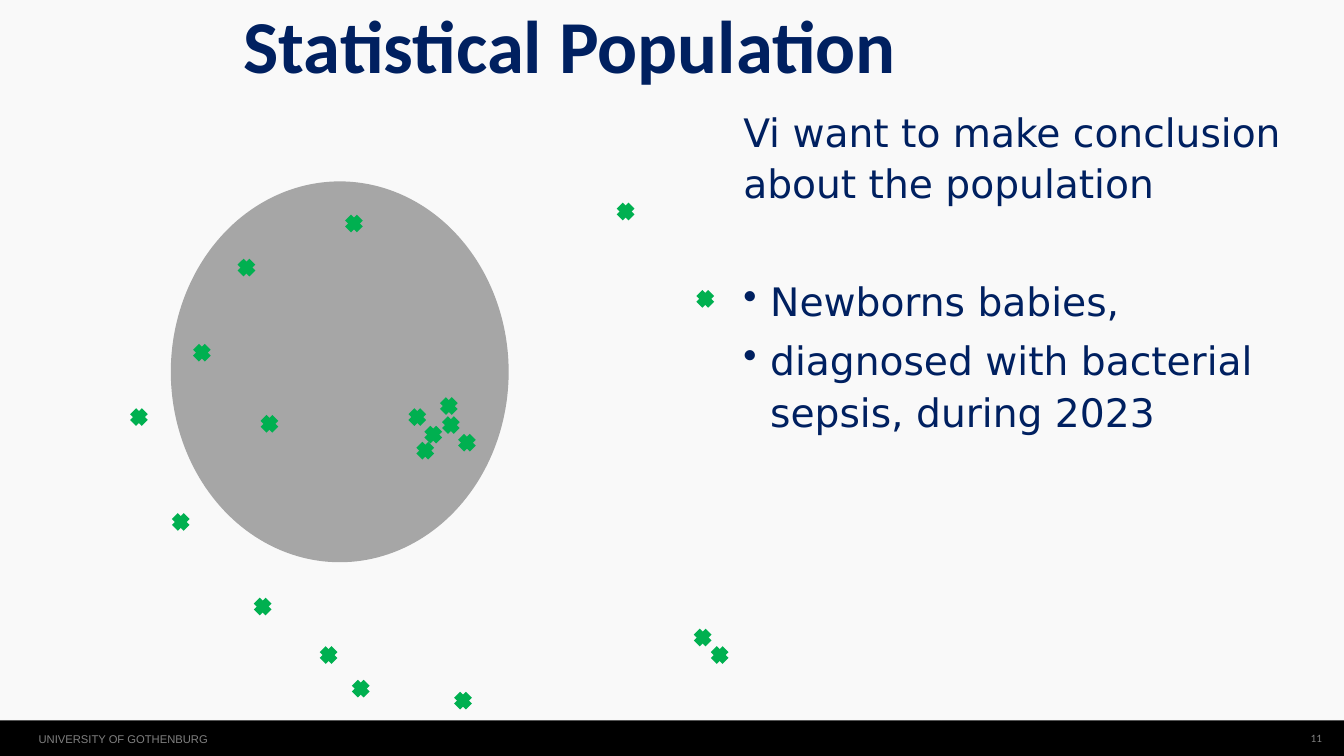
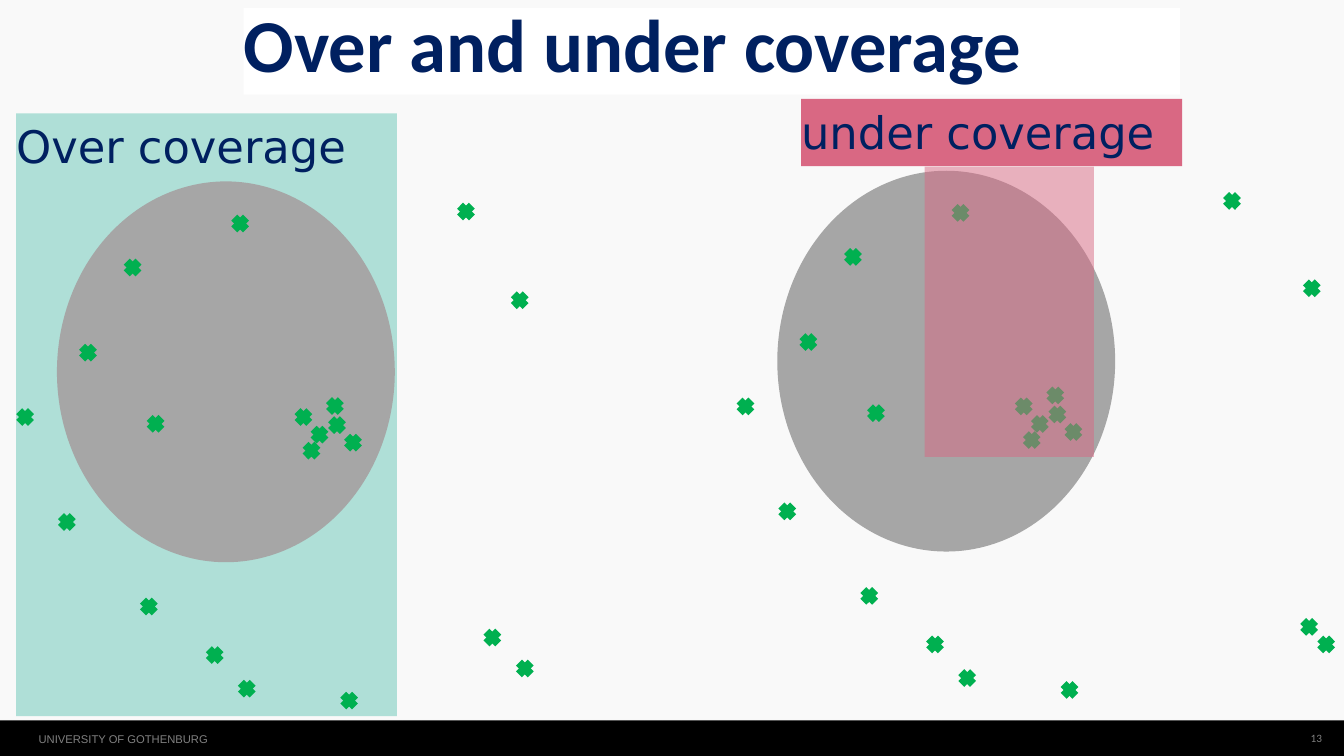
from dataclasses import dataclass

import pptx
import pptx.dml.color
import pptx.enum.shapes
import pptx.enum.text
import pptx.oxml
import pptx.oxml.ns
import pptx.util
from pptx.util import Pt

SHAPE = pptx.enum.shapes.MSO_SHAPE
ALIGN = pptx.enum.text.PP_ALIGN
ANCHOR = pptx.enum.text.MSO_ANCHOR
DRAW = pptx.oxml.ns.nsdecls("a")


@dataclass(frozen=True)
class Theme:
    back: str = "F9F9F9"
    band: str = "000000"
    navy: str = "002060"
    gray: str = "808080"
    disc: str = "A6A6A6"
    green: str = "00B050"
    mint: str = "AFDFD7"
    rose: str = "D96883"
    white: str = "FFFFFF"
    head: str = "Calibri"
    body: str = "DejaVu Sans"
    foot: str = "Arial"
    title: float = 40
    label: float = 24
    text: float = 21
    small: float = 6
    stroke: float = 4.5


# Offsets of the marks from the top left corner of the population disc
NEAR = [
    (128.9, 123.1), (137.5, 132.5), (146.9, 127.4), (155.5, 136.8),
    (133.2, 141.1), (145.8, 117.2), (49.7, 126.7), (153.4, 275),
    (37.4, 43), (46.1, 224.6), (98.6, 268.6), (81.4, 250.6),
    (13.5, 88.6), (95, 19.4), (-20.2, 123.1), (2.2, 179.3),
]
FAR = [(281.8, 241.2), (290.9, 250.6), (240.5, 13), (283.2, 59.8)]
CLOSE = [(230.1, 241.2), (247.5, 257.8), (216, 13), (244.8, 60.5)]
DISC = (181, 204)
MARK = 6.3


def rgb(code):
    return pptx.dml.color.RGBColor.from_string(code)


def xml(tag, inner=""):
    return pptx.oxml.parse_xml(f"<a:{tag} {DRAW}>{inner}</a:{tag}>")


class Deck:
    def __init__(self, theme):
        self.theme = theme
        self.prs = pptx.Presentation()
        self.prs.slide_width, self.prs.slide_height = Pt(720), Pt(405)
        fill = self.prs.slide_master.background.fill
        fill.solid()
        fill.fore_color.rgb = rgb(theme.back)
        self.slide = None

    def page(self, number):
        """Start a slide with its footer band and page number."""
        t = self.theme
        self.slide = self.prs.slides.add_slide(self.prs.slide_layouts[6])
        band = self.shape((0, 386, 720, 20), t.band)
        band._element.spPr.find(pptx.oxml.ns.qn("a:effectLst")).append(
            pptx.oxml.parse_xml(
                f'<a:outerShdw {DRAW} blurRad="{Pt(3.1)}" dist="{Pt(1.8)}" '
                'dir="5400000" rotWithShape="0"><a:srgbClr val="000000">'
                '<a:alpha val="35000"/></a:srgbClr></a:outerShdw>'))
        self.text((20.7, 392.4, 101, 10), "UNIVERSITY OF GOTHENBURG",
                  t.foot, t.small, t.gray)
        box = self.text((691.2, 386, 17, 19), str(number),
                        t.head, t.small, t.gray)
        box.text_frame.vertical_anchor = ANCHOR.MIDDLE
        box.text_frame.paragraphs[0].alignment = ALIGN.RIGHT

    def shape(self, area, color, kind=SHAPE.RECTANGLE, alpha=None):
        item = self.slide.shapes.add_shape(kind, *map(Pt, area))
        item.shadow.inherit = False
        item.line.fill.background()
        item.fill.solid()
        item.fill.fore_color.rgb = rgb(color)
        if alpha:
            tint = next(item._element.spPr.iter(pptx.oxml.ns.qn("a:srgbClr")))
            tint.append(pptx.oxml.parse_xml(
                f'<a:alpha {DRAW} val="{alpha * 1000}"/>'))
        return item

    def text(self, area, words, font, size, color, bold=False, space=1,
             fill=None, bullet=False):
        """Add words in a plain box, or in a rectangle if fill is given."""
        if fill:
            box = self.shape(area, fill)
        else:
            box = self.slide.shapes.add_textbox(*map(Pt, area))
        frame = box.text_frame
        frame.word_wrap = True
        frame.vertical_anchor = ANCHOR.TOP
        frame.margin_left = frame.margin_right = 0
        frame.margin_top = frame.margin_bottom = 0
        para = frame.paragraphs[0]
        para.alignment = ALIGN.LEFT
        if bullet:
            props = para._p.get_or_add_pPr()
            props.set("marL", str(Pt(14.4)))
            props.set("indent", str(Pt(-14.4)))
            props.append(pptx.oxml.parse_xml(f'<a:buChar {DRAW} char="•"/>'))
        para.line_spacing = space
        run = para.add_run()
        run.text = words
        run.font.name, run.font.size, run.font.bold = font, Pt(size), bold
        run.font.color.rgb = rgb(color)
        return box

    def title(self, area, words, fill=None):
        t = self.theme
        self.text(area, words, t.head, t.title, t.navy, True, 0.9, fill)

    def body(self, area, words, bullet=False):
        t = self.theme
        self.text(area, words, t.body, t.text, t.navy, space=1.1,
                  bullet=bullet)

    def label(self, area, words, fill):
        t = self.theme
        self.text(area, words, t.body, t.label, t.navy, space=1.1, fill=fill)

    def mark(self, left, top):
        """Add a cross made of two short lines."""
        group = self.slide.shapes.add_group_shape()
        right, low = left + MARK, top + MARK
        for ends in ((left, top, right, low), (right, top, left, low)):
            line = group.shapes.add_connector(
                pptx.enum.shapes.MSO_CONNECTOR.STRAIGHT, *map(Pt, ends))
            line.line.color.rgb = rgb(self.theme.green)
            line.line.width = Pt(self.theme.stroke)
            line._element.spPr.append(xml("effectLst"))

    def crowd(self, left, top, outer):
        """Add the population disc and the marks in and around it."""
        self.shape((left, top, *DISC), self.theme.disc, SHAPE.OVAL)
        for x, y in NEAR + outer:
            self.mark(left + x, top + y)


def main():
    theme = Theme()
    deck = Deck(theme)

    deck.page(11)
    deck.crowd(91.5, 97.2, FAR)
    deck.title((130.5, 5, 459.5, 67.5), "Statistical Population")
    deck.body((398.2, 55.4, 310.3, 85),
              "Vi want to make conclusion about the population")
    deck.body((398.2, 146.2, 310.3, 33), "Newborns babies,", True)
    deck.body((398.2, 177.8, 310.3, 67),
              "diagnosed with bacterial sepsis, during 2023", True)

    deck.page(13)
    deck.label((8.6, 60.7, 204, 323), "Over coverage", theme.mint)
    deck.title((130.5, 4.3, 501.7, 46.5), "Over and under coverage",
               theme.white)
    deck.crowd(416.4, 91.5, FAR)
    deck.crowd(30.5, 97.2, CLOSE)
    deck.shape((495.4, 89.2, 90.7, 155.6), theme.rose, alpha=50)
    deck.label((429.2, 53, 204.2, 36), "under coverage", theme.rose)

    deck.prs.save("out.pptx")


if __name__ == "__main__":
    main()
